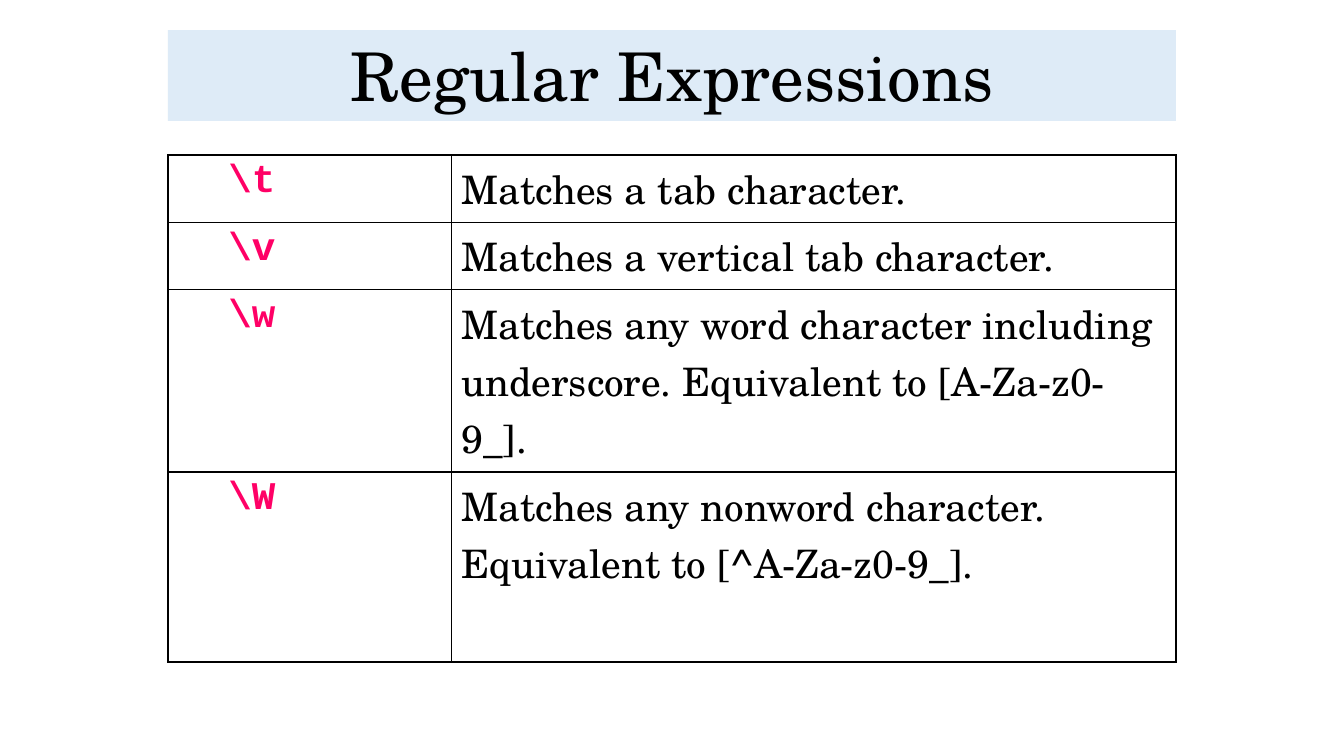
from pptx import Presentation
from pptx.dml.color import RGBColor
from pptx.enum.text import MSO_ANCHOR as Anchor, MSO_AUTO_SIZE as AutoSize, PP_ALIGN as Align
from pptx.oxml import parse_xml
from pptx.oxml.ns import nsdecls
from pptx.util import Inches, Pt

PATTERNS = [
    ("\\t", "Matches a tab character."),
    ("\\v", "Matches a vertical tab character."),
    ("\\w", "Matches any word character including underscore. Equivalent to [A-Za-z0-9_]."),
    ("\\W", "Matches any nonword character. Equivalent to [^A-Za-z0-9_]."),
]
ROW_SHARES = [0.089, 0.089, 0.241, 0.251]
COLUMN_SHARES = [0.211, 0.539]


def rgb(value):
    return RGBColor.from_string(value)


class Deck:
    SERIF, MONO = "TeX Gyre Schola", "Courier New"
    INK, CODE, BAND = "000000", "FF0066", "DEEBF7"
    LEFT, WIDTH = 0.125, 0.75
    OUTER, INNER = Pt(1.5), Pt(1)

    def __init__(self):
        self.prs = Presentation()
        self.prs.slide_width, self.prs.slide_height = Inches(13.33), Inches(7.5)
        self.s = self.prs.slides.add_slide(self.prs.slide_layouts[5])

    def x(self, share):
        return round(self.prs.slide_width * share)

    def y(self, share):
        return round(self.prs.slide_height * share)

    def run(self, p, text, size, font, color, bold=False):
        r = p.add_run()
        r.text = text
        r.font.size, r.font.name, r.font.bold = Pt(size), font, bold
        r.font.color.rgb = rgb(color)

    def title(self, text, top, height):
        sp = self.s.shapes.title
        sp.left, sp.top = self.x(self.LEFT), self.y(top)
        sp.width, sp.height = self.x(self.WIDTH), self.y(height)
        sp.fill.solid()
        sp.fill.fore_color.rgb = rgb(self.BAND)
        tf = sp.text_frame
        tf.auto_size, tf.vertical_anchor = AutoSize.NONE, Anchor.BOTTOM
        p = tf.paragraphs[0]
        p.alignment, p.line_spacing = Align.CENTER, 0.9
        self.run(p, text, 48, self.SERIF, self.INK)

    def border(self, cell, widths):
        """Draw the cell's edges; widths come as left, right, top, bottom."""
        tc_pr = cell._tc.get_or_add_tcPr()
        for index, (side, width) in enumerate(zip("LRTB", widths)):
            tc_pr.insert(index, parse_xml(
                f'<a:ln{side} {nsdecls("a")} w="{width}"><a:solidFill>'
                f'<a:srgbClr val="{self.INK}"/></a:solidFill></a:ln{side}>'))

    def table(self, rows, top, columns, heights):
        frame = self.s.shapes.add_table(
            len(rows), len(columns), self.x(self.LEFT), self.y(top),
            self.x(sum(columns)), self.y(sum(heights)))
        table = frame.table
        table.first_row = table.horz_banding = False
        for column, share in zip(table.columns, columns):
            column.width = self.x(share)
        for row, share in zip(table.rows, heights):
            row.height = self.y(share)
        last_row, last_column = len(rows) - 1, len(columns) - 1
        for i, texts in enumerate(rows):
            for j, text in enumerate(texts):
                cell = table.cell(i, j)
                cell.fill.background()
                edges = (j == 0, j == last_column, i == 0, i == last_row)
                self.border(cell, [self.OUTER if edge else self.INNER for edge in edges])
                p = cell.text_frame.paragraphs[0]
                if j == 0:
                    p._p.get_or_add_pPr().set("marL", str(Inches(0.5)))
                    self.run(p, text, 28, self.MONO, self.CODE, bold=True)
                else:
                    self.run(p, text, 28, self.SERIF, self.INK)


def main():
    deck = Deck()
    deck.title("Regular Expressions", top=0.04, height=0.12)
    deck.table(PATTERNS, 0.205, COLUMN_SHARES, ROW_SHARES)
    deck.prs.save("out.pptx")


if __name__ == "__main__":
    main()
